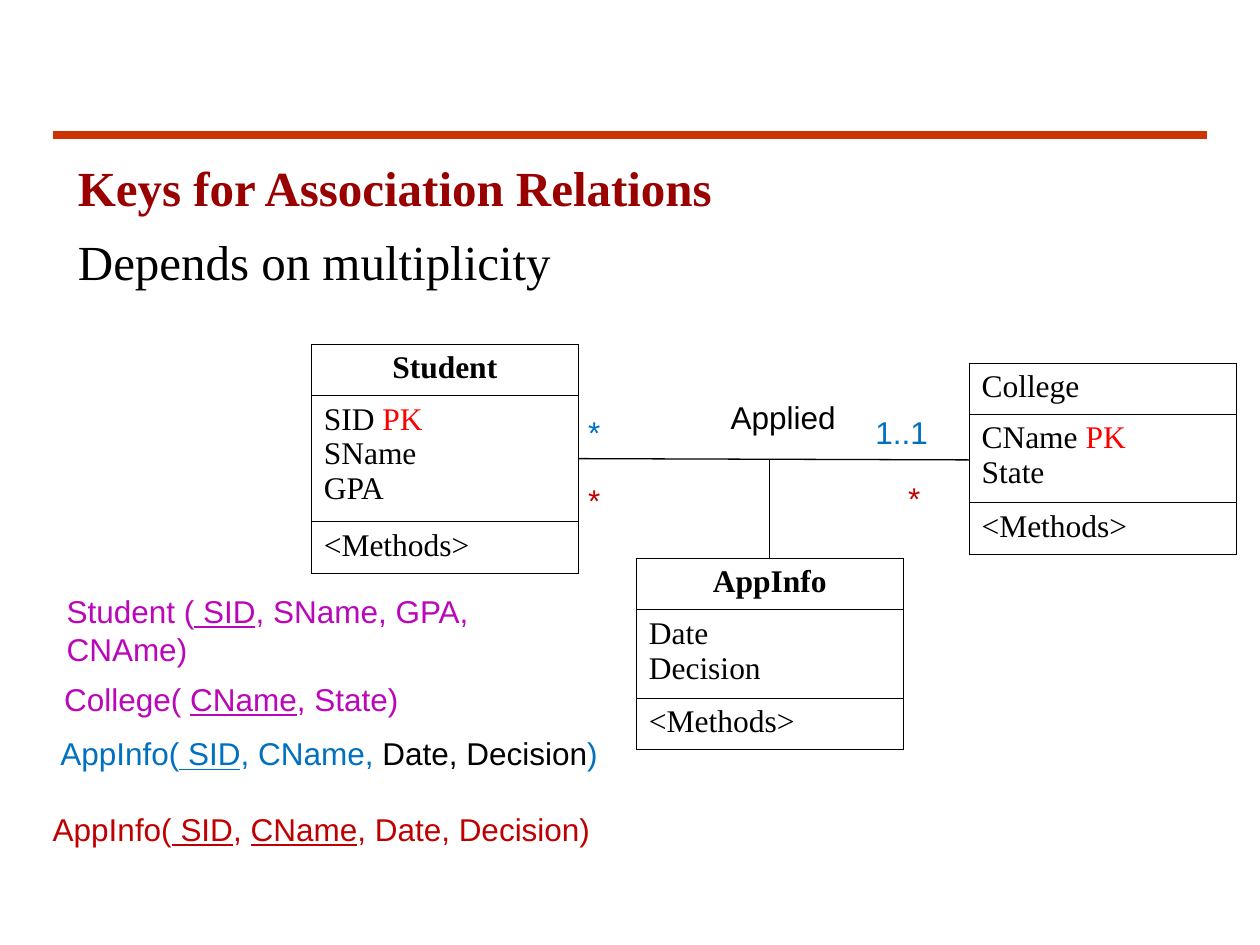
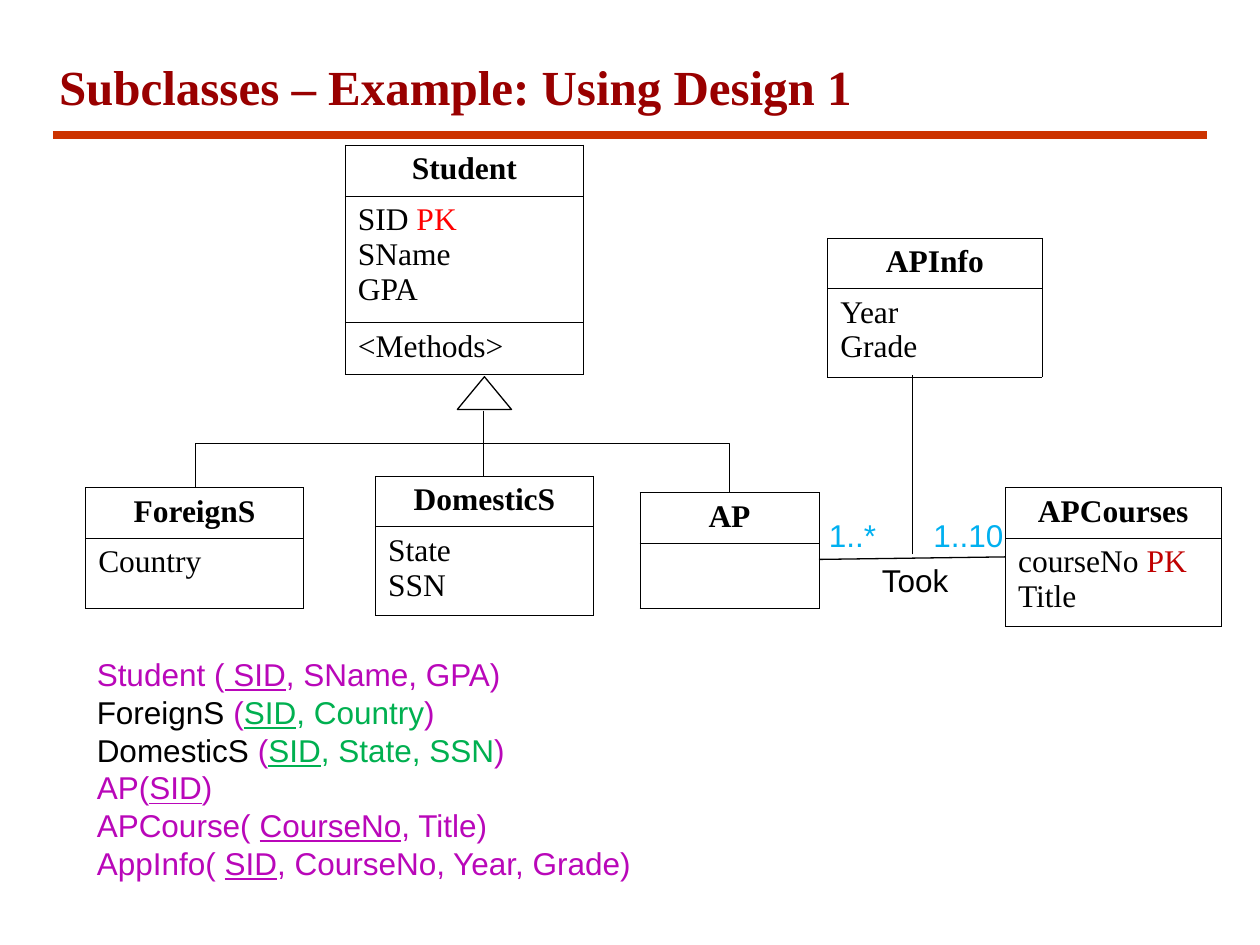
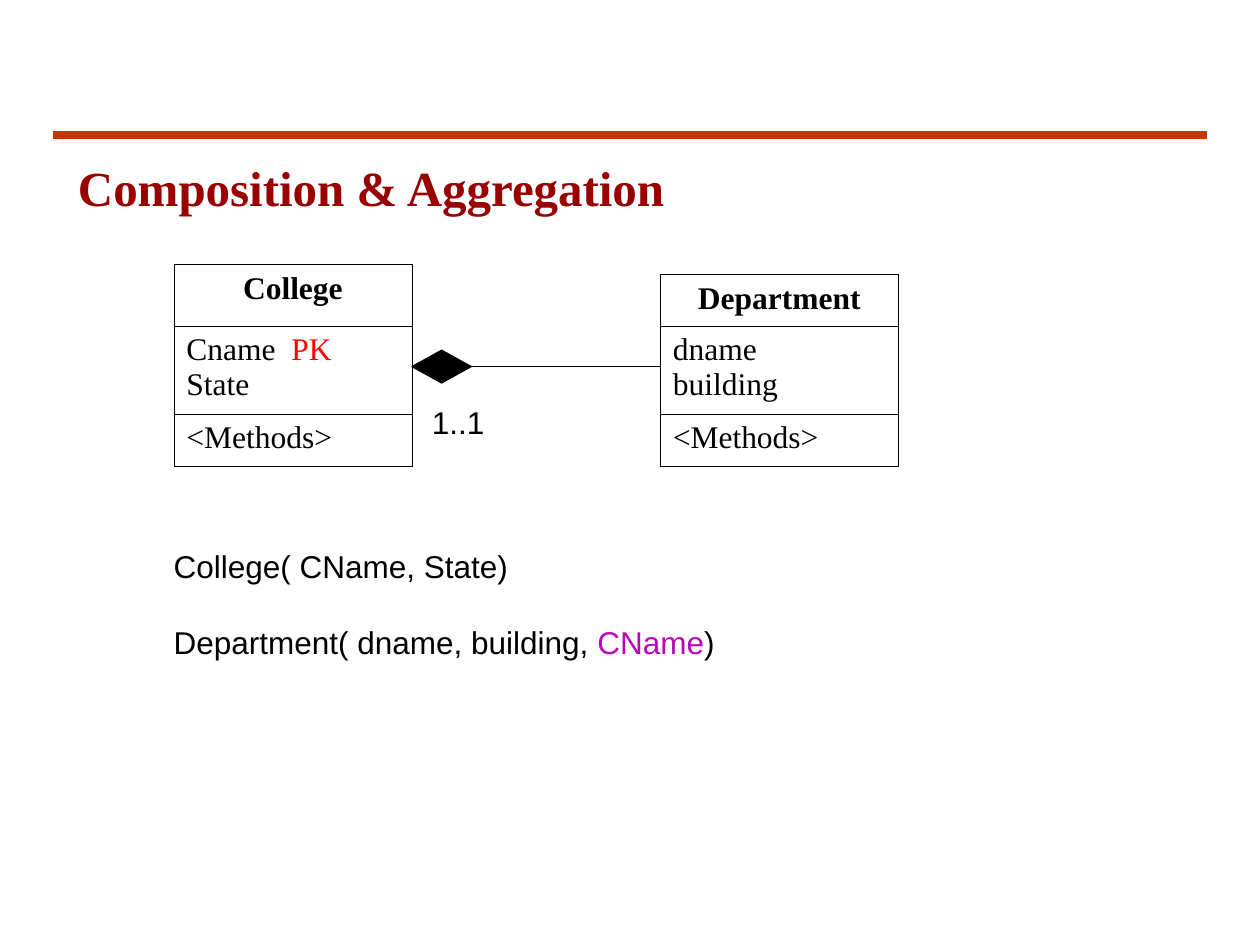
from dataclasses import dataclass
from typing import NamedTuple

from lxml import etree
from pptx import Presentation
from pptx.dml.color import RGBColor
from pptx.enum.shapes import MSO_CONNECTOR, MSO_SHAPE
from pptx.enum.text import PP_ALIGN
from pptx.oxml.ns import qn
from pptx.util import Inches, Pt

STRAIGHT, ELBOW = MSO_CONNECTOR.STRAIGHT, MSO_CONNECTOR.ELBOW
TRIANGLE = MSO_SHAPE.ISOSCELES_TRIANGLE
DIAMOND = MSO_SHAPE.FLOWCHART_DECISION
CENTER = PP_ALIGN.CENTER

SERIF, SANS = "Times New Roman", "Arial"
BLACK, TITLE_RED, BAND = "000000", "990000", "CC3300"
RED, DARK_RED, PURPLE = "FF0000", "C00000", "B907B9"
BLUE, SKY, GREEN = "0070C0", "00B0F0", "00B050"

BODY_SIZE, TITLE_SIZE = 18, 28
NAME_ROW, METHODS_ROW = 0.41, 0.41
BLANK_LAYOUT = 6


class Run(NamedTuple):
    text: str
    color: str = BLACK
    underline: bool = False
    bold: bool = False


Line = tuple[Run, ...]


@dataclass
class ClassBox:
    """A UML class: name row, attribute row and an optional methods row."""
    name: str
    left: float
    top: float
    width: float
    attributes: tuple[Line, ...]
    attribute_height: float = 0.7
    name_height: float = NAME_ROW
    methods: bool = True
    plain_name: bool = False


@dataclass
class Label:
    left: float
    top: float
    width: float
    lines: tuple[Line, ...]
    height: float = 0.4
    space_before: float = 0


def rgb(color: str) -> RGBColor:
    return RGBColor.from_string(color)


def plain(*names: str) -> tuple[Line, ...]:
    return tuple((Run(name),) for name in names)


def keyed(name: str, color: str = RED) -> Line:
    """An attribute marked as the primary key."""
    return Run(name), Run("PK", color)


def relation(start: str, key: str, end: str, color: str = PURPLE) -> Line:
    """A relation schema with its key underlined."""
    return Run(start, color), Run(key, color, underline=True), Run(end, color)


def add_runs(paragraph, line: Line, font_name: str, size: float) -> None:
    for item in line:
        run = paragraph.add_run()
        run.text = item.text
        run.font.name = font_name
        run.font.size = Pt(size)
        run.font.bold = item.bold
        run.font.underline = item.underline
        run.font.color.rgb = rgb(item.color)


def paragraphs_for(text_frame, lines: tuple[Line, ...], font_name: str, size: float) -> list:
    """Write one paragraph per line and return the paragraphs."""
    for index, line in enumerate(lines):
        paragraph = text_frame.add_paragraph() if index else text_frame.paragraphs[0]
        add_runs(paragraph, line, font_name, size)
    return list(text_frame.paragraphs)


def add_text_frame(slide, left: float, top: float, width: float, height: float):
    text_box = slide.shapes.add_textbox(Inches(left), Inches(top), Inches(width), Inches(height))
    text_box.text_frame.word_wrap = True
    return text_box.text_frame


def add_label(slide, label: Label) -> None:
    text_frame = add_text_frame(slide, label.left, label.top, label.width, label.height)
    paragraphs = paragraphs_for(text_frame, label.lines, SANS, BODY_SIZE)
    for paragraph in paragraphs[1:]:
        paragraph.space_before = Pt(label.space_before)


def add_heading(slide, title: str, subtitle: str = "", left: float = 0.42,
                top: float = 1.25, height: float = 4.98) -> None:
    lines = ((Run(title, TITLE_RED, bold=True),),)
    if subtitle:
        lines += plain(subtitle)
    text_frame = add_text_frame(slide, left, top, 9.08, height)
    for index, paragraph in enumerate(paragraphs_for(text_frame, lines, SERIF, TITLE_SIZE)):
        properties = paragraph._p.get_or_add_pPr()
        properties.set("marL", str(Inches(0.3)))
        properties.set("indent", str(Inches(-0.2)))
        paragraph.line_spacing = 0.9
        paragraph.space_after = Pt(6)
        if index:
            paragraph.space_before = Pt(6)


def add_line(slide, start: tuple[float, float], end: tuple[float, float],
             color: str = BLACK, width: float = 0.75, kind=STRAIGHT) -> None:
    connector = slide.shapes.add_connector(kind, *(Inches(value) for value in start + end))
    connector.line.color.rgb = rgb(color)
    connector.line.width = Pt(width)
    properties = connector._element.spPr
    etree.SubElement(properties, qn("a:effectLst"))
    if kind == ELBOW:
        properties.find(qn("a:prstGeom")).set("prst", "bentConnector2")


def add_symbol(slide, kind, left: float, top: float, width: float, fill: str = "") -> None:
    shape = slide.shapes.add_shape(kind, Inches(left), Inches(top), Inches(width), Inches(0.26))
    shape.shadow.inherit = False
    if fill:
        shape.fill.solid()
        shape.fill.fore_color.rgb = rgb(fill)
    else:
        shape.fill.background()
    shape.line.color.rgb = rgb(BLACK)
    shape.line.width = Pt(0.75)


def add_borders(cell) -> None:
    properties = cell._tc.get_or_add_tcPr()
    for position, side in enumerate(("lnL", "lnR", "lnT", "lnB")):
        border = etree.Element(qn(f"a:{side}"), w=str(Pt(0.45)))
        fill = etree.SubElement(border, qn("a:solidFill"))
        etree.SubElement(fill, qn("a:srgbClr"), val=BLACK)
        properties.insert(position, border)


def add_class(slide, box: ClassBox) -> None:
    rows = [((Run(box.name, bold=not box.plain_name),),), box.attributes]
    heights = [box.name_height, box.attribute_height]
    if box.methods:
        rows.append(plain("<Methods>"))
        heights.append(METHODS_ROW)
    table = slide.shapes.add_table(len(rows), 1, Inches(box.left), Inches(box.top),
                                   Inches(box.width), Inches(sum(heights))).table
    table.first_row = table.horz_banding = False
    for index, (lines, height) in enumerate(zip(rows, heights)):
        table.rows[index].height = Inches(height)
        cell = table.cell(index, 0)
        cell.fill.background()
        add_borders(cell)
        paragraphs_for(cell.text_frame, lines, SERIF, BODY_SIZE)
    if not box.plain_name:
        table.cell(0, 0).text_frame.paragraphs[0].alignment = CENTER


def add_slide(presentation):
    slide = presentation.slides.add_slide(presentation.slide_layouts[BLANK_LAYOUT])
    add_line(slide, (0.42, 1.07), (9.58, 1.07), BAND, 4.5)
    return slide


def draw(slide, classes: tuple[ClassBox, ...], labels: tuple[Label, ...]) -> None:
    for box in classes:
        add_class(slide, box)
    for label in labels:
        add_label(slide, label)


def student(left: float, top: float, width: float) -> ClassBox:
    return ClassBox("Student", left, top, width,
                    (keyed("SID "), *plain("SName", "GPA")), attribute_height=1)


def build_association_keys(presentation) -> None:
    slide = add_slide(presentation)
    add_heading(slide, "Keys for Association Relations", "Depends on multiplicity")
    add_line(slide, (4.59, 3.64), (7.69, 3.65))
    add_line(slide, (6.11, 3.65), (6.11, 4.43))
    classes = (
        student(2.47, 2.73, 2.12),
        ClassBox("College", 7.69, 2.88, 2.12, (keyed("CName "), *plain("State")),
                 plain_name=True),
        ClassBox("AppInfo", 5.05, 4.43, 2.12, plain("Date", "Decision")),
    )
    one_key = (*relation("AppInfo(", " SID", ", CName, ", BLUE),
               Run("Date, Decision"), Run(")", BLUE))
    two_keys = (*relation("AppInfo(", " SID", ", ", DARK_RED),
                Run("CName", DARK_RED, underline=True), Run(", Date, Decision)", DARK_RED))
    labels = (
        Label(5.7, 3.11, 1.5, plain("Applied")),
        Label(6.85, 3.23, 0.86, ((Run("1..1", BLUE),),)),
        Label(4.57, 3.23, 0.86, ((Run("*", BLUE),),)),
        Label(7.11, 3.75, 0.52, ((Run("*", DARK_RED),),)),
        Label(4.57, 3.77, 0.52, ((Run("*", DARK_RED),),)),
        Label(0.43, 4.65, 3.62, (relation("Student (", " SID", ", SName, GPA, CNAme)"),), 0.7),
        Label(0.41, 5.35, 3.62, (relation("College( ", "CName", ", State)"),)),
        Label(0.38, 5.78, 4.68, (one_key,)),
        Label(0.32, 6.38, 4.68, (two_keys,)),
    )
    draw(slide, classes, labels)


def subclass_relation(name: str, attributes: str) -> Line:
    return (Run(name), Run(" (", PURPLE), Run("SID", GREEN, underline=True),
            Run(attributes, GREEN), Run(")", PURPLE))


def build_subclasses(presentation) -> None:
    slide = add_slide(presentation)
    add_heading(slide, "Subclasses – Example: Using Design 1", left=0.27, top=0.45, height=0.53)
    add_symbol(slide, TRIANGLE, 3.63, 2.99, 0.43)
    branch = (3.84, 3.52)
    add_line(slide, (3.84, 3.26), (3.84, 3.78))
    for subclass_top in ((1.55, 3.87), (5.79, 3.91)):
        add_line(slide, branch, subclass_top, kind=ELBOW)
    add_line(slide, (6.5, 4.44), (7.98, 4.42))
    add_line(slide, (7.24, 4.4), (7.24, 2.98))
    small = {"name_height": 0.4, "methods": False}
    classes = (
        student(2.74, 1.15, 1.89),
        ClassBox("DomesticS", 2.98, 3.78, 1.73, plain("State", "SSN"), **small),
        ClassBox("AP", 5.08, 3.91, 1.42, (), 0.52, **small),
        ClassBox("ForeignS", 0.68, 3.87, 1.73, plain("Country"), 0.56, **small),
        ClassBox("APCourses", 7.98, 3.87, 1.71,
                 (keyed("courseNo ", DARK_RED), *plain("Title")), **small),
        ClassBox("APInfo", 6.57, 1.89, 1.7, plain("Year", "Grade"), **small),
    )
    schema = (
        relation("Student (", " SID", ", SName, GPA)"),
        subclass_relation("ForeignS", ", Country"),
        subclass_relation("DomesticS", ", State, SSN"),
        relation("AP(", "SID", ")"),
        relation("APCourse( ", "CourseNo", ", Title)"),
        relation("AppInfo( ", "SID", ", CourseNo, Year, Grade)"),
    )
    labels = (
        Label(6.9, 4.4, 0.81, plain("Took")),
        Label(7.31, 4.05, 0.81, ((Run("1..10", SKY),),)),
        Label(6.48, 4.05, 0.81, ((Run("1..*", SKY),),)),
        Label(0.67, 5.15, 5.44, schema, 2.2),
    )
    draw(slide, classes, labels)


def build_composition(presentation) -> None:
    slide = add_slide(presentation)
    add_heading(slide, "Composition & Aggregation")
    add_symbol(slide, DIAMOND, 3.27, 2.78, 0.47, BLACK)
    add_line(slide, (3.74, 2.91), (5.24, 2.91))
    classes = (
        ClassBox("College", 1.38, 2.1, 1.89, (keyed("Cname  "), *plain("State")),
                 name_height=0.49),
        ClassBox("Department", 5.24, 2.18, 1.89, plain("dname", "building")),
    )
    schema = (
        (Run("College( CName, State)"),),
        (Run("Department( dname, building, "), Run("CName", PURPLE), Run(")")),
    )
    labels = (
        Label(3.33, 3.15, 0.63, plain("1..1")),
        Label(1.28, 4.29, 4.72, schema, 1, space_before=22),
    )
    draw(slide, classes, labels)


def main() -> None:
    presentation = Presentation()
    presentation.slide_width = Inches(10)
    presentation.slide_height = Inches(7.5)
    build_association_keys(presentation)
    build_subclasses(presentation)
    build_composition(presentation)
    presentation.save("out.pptx")


if __name__ == "__main__":
    main()
